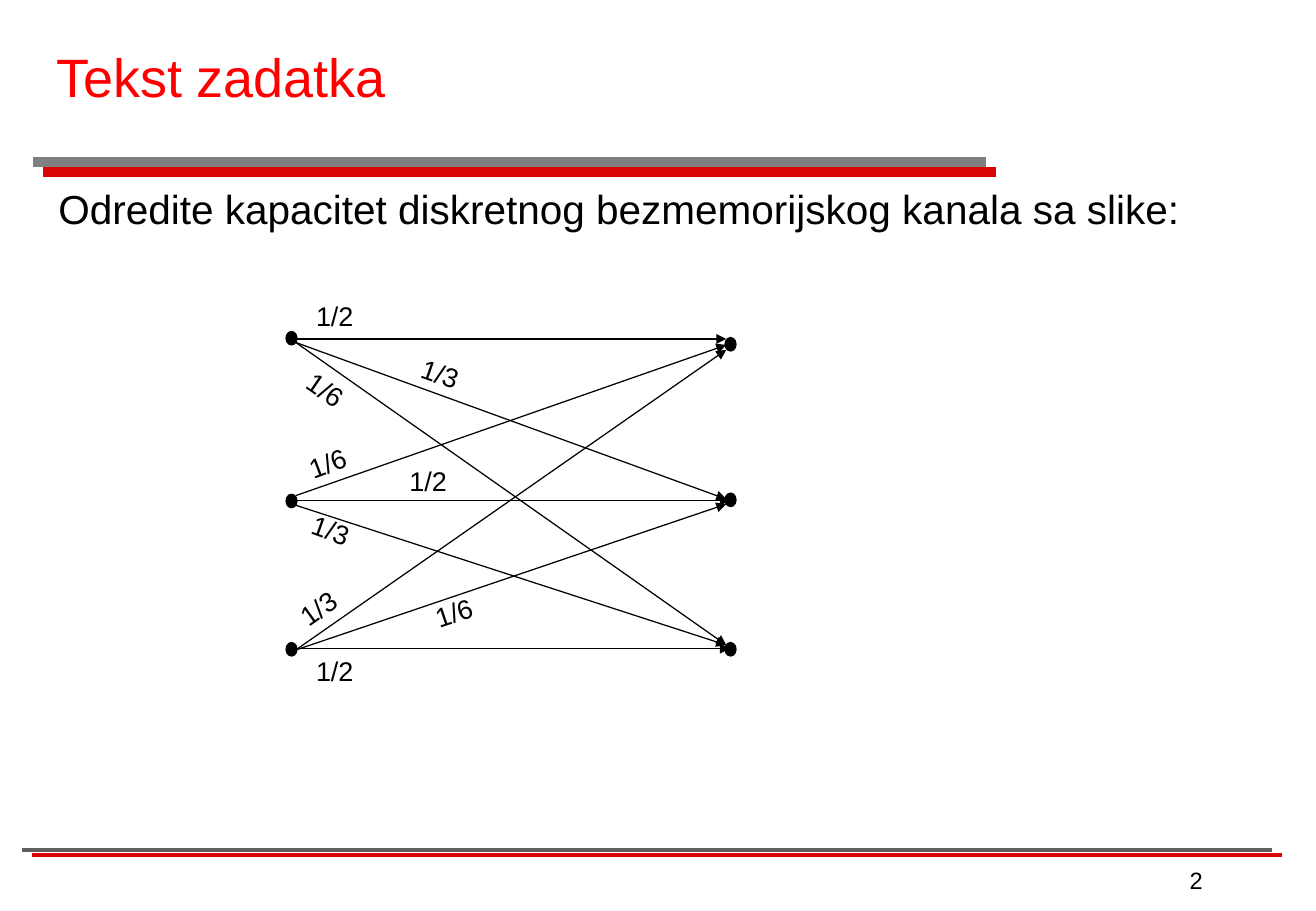
from dataclasses import dataclass

from lxml.etree import SubElement
from pptx import Presentation
from pptx.dml.color import RGBColor
from pptx.enum.shapes import MSO_CONNECTOR, MSO_SHAPE
from pptx.enum.text import MSO_ANCHOR, MSO_AUTO_SIZE, PP_ALIGN
from pptx.oxml.ns import qn
from pptx.util import Pt


@dataclass(frozen=True)
class Theme:
    font: str = "Arial"
    ink: str = "000000"
    title: str = "FF0000"
    gray: str = "808080"
    dark: str = "5F5F5F"
    red: str = "D70505"
    head: int = 32
    body: int = 24
    label: int = 16
    page: int = 14


THEME = Theme()


def place(shape, box):
    shape.left, shape.top, shape.width, shape.height = map(Pt, box)


def write(shape, text, size, color=THEME.ink, align=PP_ALIGN.LEFT,
          anchor=MSO_ANCHOR.TOP, spacing=1.0, wrap=True):
    frame = shape.text_frame
    frame.auto_size = MSO_AUTO_SIZE.NONE
    frame.word_wrap = wrap
    frame.vertical_anchor = anchor
    para = frame.paragraphs[0]
    para.alignment = align
    para.line_spacing = spacing
    para.space_before = Pt(0)
    run = para.add_run()
    run.text = text
    run.font.name = THEME.font
    run.font.size = Pt(size)
    run.font.color.rgb = RGBColor.from_string(color)


def draw_line(slide, start, end, color=THEME.ink, width=0.75, arrow=False):
    line = slide.shapes.add_connector(
        MSO_CONNECTOR.STRAIGHT, *map(Pt, (*start, *end)))
    line.line.color.rgb = RGBColor.from_string(color)
    line.line.width = Pt(width)
    if arrow:
        SubElement(line.line._get_or_add_ln(), qn("a:tailEnd"), type="triangle")
    SubElement(line._element.spPr, qn("a:effectLst"))


def draw_rule(slide, box, color, width):
    left, top, wide, drop = box
    for dx, dy, tint in ((6, drop, THEME.red), (0, 0, color)):
        draw_line(slide, (left + dx, top + dy), (left + wide + dx, top + dy),
                  tint, width)


def draw_title(slide, box):
    title = slide.shapes.title
    place(title, box)
    write(title, "Tekst zadatka", THEME.head, THEME.title,
          anchor=MSO_ANCHOR.MIDDLE)


def draw_body(slide, box):
    body = slide.placeholders[1]
    place(body, box)
    props = body.text_frame.paragraphs[0]._p.get_or_add_pPr()
    props.set("marL", "0")
    props.set("indent", "0")
    SubElement(props, qn("a:buNone"))
    write(body, "Odredite kapacitet diskretnog bezmemorijskog kanala sa slike:",
          THEME.body, spacing=0.9)


def draw_foot(slide, box):
    page = slide.shapes.add_textbox(*map(Pt, box))
    write(page, "2", THEME.page, align=PP_ALIGN.RIGHT)


def draw_dot(slide, x, y):
    wide, high = 6.5, 8
    dot = slide.shapes.add_shape(
        MSO_SHAPE.OVAL, *map(Pt, (x - wide / 2, y - high / 2, wide, high)))
    dot.shadow.inherit = False
    dot.fill.solid()
    dot.fill.fore_color.rgb = RGBColor.from_string(THEME.ink)
    dot.line.color.rgb = RGBColor.from_string(THEME.ink)
    dot.line.width = Pt(0.75)


def draw_label(slide, text, x, y, turn):
    wide, high = 36.7, 23
    label = slide.shapes.add_textbox(
        *map(Pt, (x - wide / 2, y - high / 2, wide, high)))
    label.rotation = turn
    write(label, text, THEME.label, align=PP_ALIGN.CENTER, spacing=0.8,
          wrap=False)


INPUTS = (0, 96.5, 184.4)
OUTPUTS = (3.6, 95.8, 184.4)
GAP = 2.5
# source, target, start shift, end shift, end gap, label, label x, label y, turn
EDGES = (
    (0, 0, 0.4, -3.2, GAP, "1/2", 25.6, -11.1, 0),
    (0, 1, 2.5, -0.4, GAP, "1/3", 87.5, 22.7, 19.2),
    (0, 2, 2.5, -2.5, GAP, "1/6", 19.1, 32.1, 34.5),
    (1, 0, -3.2, 0.4, GAP, "1/6", 22, 76, -20.5),
    (1, 1, -0.2, 0.5, 0.4, "1/2", 81, 86.8, 0),
    (1, 2, 2.5, -2.5, GAP, "1/3", 22.7, 115.6, 19.7),
    (2, 0, 0.4, 3.2, GAP, "1/3", 16.9, 161.7, -35.4),
    (2, 1, 0.4, 2.5, GAP, "1/6", 96.8, 164.5, -18.6),
    (2, 2, -0.4, -0.4, 0.4, "1/2", 25.6, 199.1, 0),
)


def draw_graph(slide, box):
    left, top, wide, _ = box
    right = left + wide
    for x, rows in ((left, INPUTS), (right, OUTPUTS)):
        for y in rows:
            draw_dot(slide, x, top + y)
    for src, dst, rise, fall, gap, text, x, y, turn in EDGES:
        draw_line(slide, (left + GAP, top + INPUTS[src] + rise),
                  (right - gap, top + OUTPUTS[dst] + fall), arrow=True)
        draw_label(slide, text, left + x, top + y, turn)


def main():
    deck = Presentation()
    deck.slide_width, deck.slide_height = Pt(780), Pt(540)
    slide = deck.slides.add_slide(deck.slide_layouts[1])
    draw_rule(slide, (19.5, 96, 565, 6), THEME.gray, 6)
    draw_rule(slide, (13, 504, 741, 3), THEME.dark, 2.25)
    draw_foot(slide, (654.5, 509.5, 65.5, 18))
    draw_title(slide, (26, 0, 663, 90))
    draw_body(slide, (27.4, 109, 737, 381))
    draw_graph(slide, (172.8, 200.5, 260.2, 184.4))
    deck.save("out.pptx")


if __name__ == "__main__":
    main()
